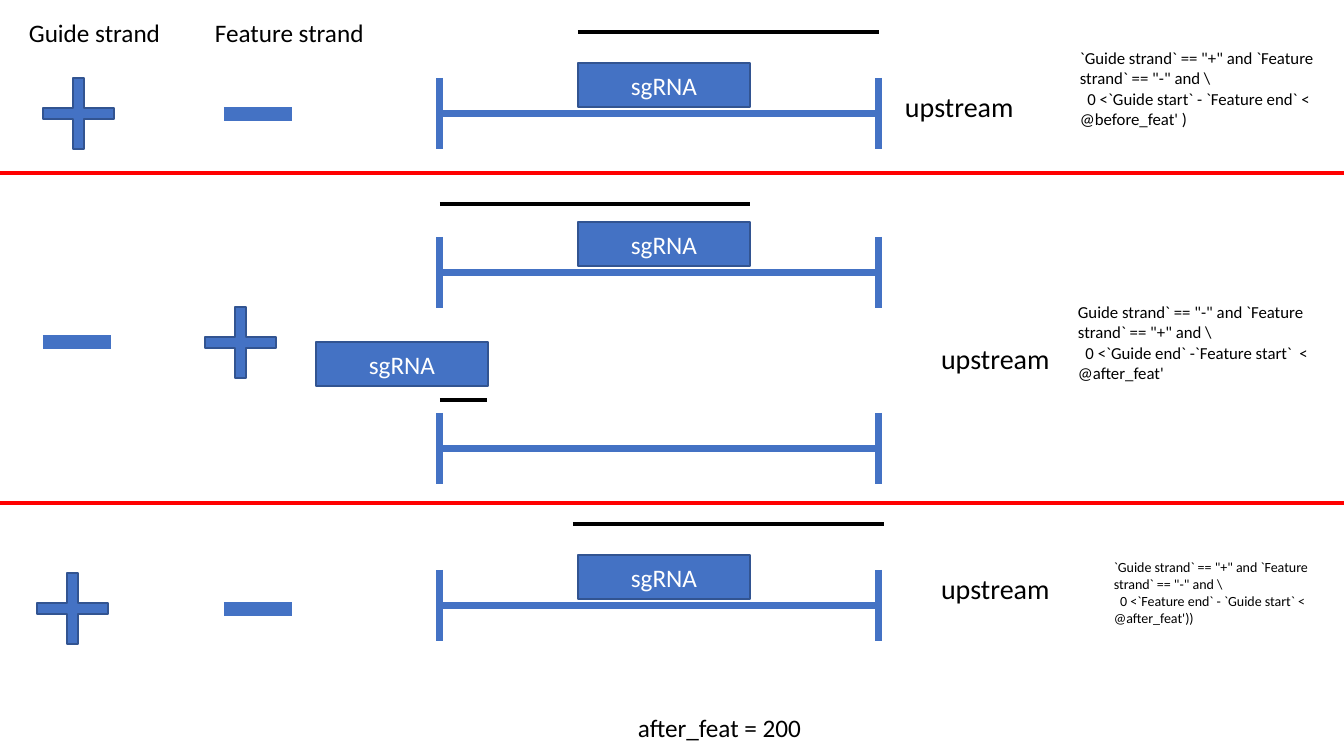
from pptx import Presentation
from pptx.dml.color import RGBColor
from pptx.enum import shapes, text
from pptx.oxml import parse_xml
from pptx.oxml.ns import nsdecls
from pptx import util as u

SCALE = 914400 / 100.8
WIDTH, HEIGHT = 1344, 756
BLUE, OUTLINE, BLACK, WHITE, RED = "4472C4", "325491", "000000", "FFFFFF", "FF0000"
FEATURE_LEFT, FEATURE_RIGHT, TICK = 440, 879, 71
SYMBOL, MINUS = 71, 68


def px(*lengths):
    """Turn pixel lengths into EMU."""
    return [u.Emu(round(length * SCALE)) for length in lengths]


def color(value):
    """Turn a hex string into a colour."""
    return RGBColor.from_string(value)


def format_runs(frame, size, ink):
    """Apply the slide's font to every run of a frame."""
    for paragraph in frame.paragraphs:
        for run in paragraph.runs:
            run.font.name = "Calibri"
            run.font.size = u.Pt(size)
            run.font.color.rgb = color(ink)


def add_line(parent, x1, y1, x2, y2, ink, weight):
    """Draw a straight line without a shadow."""
    line = parent.add_connector(shapes.MSO_CONNECTOR.STRAIGHT, *px(x1, y1, x2, y2))
    line.line.color.rgb = color(ink)
    line.line.width = u.Pt(weight)
    line._element.spPr.append(parse_xml(f"<a:effectLst {nsdecls('a')}/>"))


def add_block(parent, preset, box):
    """Draw a blue outlined preset shape."""
    block = parent.add_shape(preset, *px(*box))
    block.shadow.inherit = False
    block.fill.solid()
    block.fill.fore_color.rgb = color(BLUE)
    block.line.color.rgb = color(OUTLINE)
    block.line.width = u.Pt(1)
    return block


def add_label(slide, box, words, size, wrap=True):
    """Place a black text box."""
    frame = slide.shapes.add_textbox(*px(*box)).text_frame
    frame.word_wrap = wrap
    frame.auto_size = text.MSO_AUTO_SIZE.SHAPE_TO_FIT_TEXT
    frame.text = words
    format_runs(frame, size, BLACK)


def add_plus(slide, left, top):
    """Draw a plus strand symbol."""
    plus = add_block(slide.shapes, shapes.MSO_SHAPE.CROSS, (left, top, SYMBOL, SYMBOL))
    plus.adjustments[0] = 0.422


def add_minus(slide, left, middle):
    """Draw a minus strand symbol."""
    add_line(slide.shapes, left, middle, left + MINUS, middle, BLUE, 10)


def add_feature(slide, top, guide_left, guide_top):
    """Draw a feature span with end ticks and its sgRNA, as a group."""
    parts = slide.shapes.add_group_shape().shapes
    axis = top + TICK / 2
    add_line(parts, FEATURE_LEFT, axis, FEATURE_RIGHT, axis, BLUE, 4.5)
    for end in (FEATURE_LEFT, FEATURE_RIGHT):
        add_line(parts, end, top, end, top + TICK, BLUE, 5)
    guide = add_block(parts, shapes.MSO_SHAPE.RECTANGLE,
                      (guide_left, top + guide_top, 172, 44))
    frame = guide.text_frame
    frame.text = "sgRNA"
    frame.vertical_anchor = text.MSO_ANCHOR.MIDDLE
    frame.paragraphs[0].alignment = text.PP_ALIGN.CENTER
    format_runs(frame, 18, WHITE)


def add_direction(slide, left, top):
    """Place the one-cell table naming the direction."""
    table = slide.shapes.add_table(1, 1, *px(left, top, 177, 34)).table
    table.first_row = table.horz_banding = False
    cell = table.cell(0, 0)
    cell.fill.background()
    cell.margin_left, cell.margin_right, cell.margin_top, cell.margin_bottom = px(1, 1, 1, 0)
    cell.vertical_anchor = text.MSO_ANCHOR.BOTTOM
    cell.text = "upstream"
    format_runs(cell.text_frame, 20, BLACK)


def add_case(slide, top, case):
    """Draw one strand case, placed below the given top."""
    plus_left, plus_top = case["plus"]
    minus_left, minus_middle = case["minus"]
    add_plus(slide, plus_left, top + plus_top)
    add_minus(slide, minus_left, top + minus_middle)
    for feature_top, guide_left, guide_top in case["features"]:
        add_feature(slide, top + feature_top, guide_left, guide_top)
    for start, end, height in case["overlaps"]:
        add_line(slide.shapes, start, top + height, end, top + height, BLACK, 3)
    direction_left, direction_top = case["direction"]
    add_direction(slide, direction_left, top + direction_top)
    left, offset, width, height, size = case["box"]
    add_label(slide, (left, top + offset, width, height), case["condition"], size)


CASES = {
    0: dict(plus=(43, 78), minus=(224, 114), features=[(78, 578, -15)],
            overlaps=[(578, 879, 32)], direction=(904, 90), box=(1070, 43, 263, 92, 12),
            condition="`Guide strand` == \"+\" and `Feature strand` == \"-\" and \\\n"
                      "  0 <`Guide start` - `Feature end` < @before_feat' )"),
    173: dict(plus=(205, 134), minus=(43, 169), features=[(64, 578, -15), (240, 316, -71)],
              overlaps=[(440, 750, 31), (440, 487, 227)], direction=(940, 169),
              box=(1068, 124, 263, 92, 12),
              condition="Guide strand` == \"-\" and `Feature strand` == \"+\" and \\\n"
                        "  0 <`Guide end` -`Feature start`  < @after_feat'"),
    503: dict(plus=(37, 70), minus=(224, 106), features=[(67, 578, -15)],
              overlaps=[(573, 884, 21)], direction=(940, 69), box=(1104, 51, 214, 78, 10),
              condition="`Guide strand` == \"+\" and `Feature strand` == \"-\" and \\\n"
                        "  0 <`Feature end` - `Guide start` < @after_feat'))"),
}

deck = Presentation()
deck.slide_width, deck.slide_height = px(WIDTH, HEIGHT)
strands = deck.slides.add_slide(deck.slide_layouts[6])
for heading_left, heading in ((19, "Guide strand"), (205, "Feature strand")):
    add_label(strands, (heading_left, 12, 190, 40), heading, 18)
for case_top, strand_case in CASES.items():
    if case_top:
        add_line(strands.shapes, 0, case_top, WIDTH, case_top, RED, 3)
    add_case(strands, case_top, strand_case)
add_label(strands, (628, 707, 186, 40), "after_feat = 200", 18, wrap=False)
deck.save("out.pptx")
